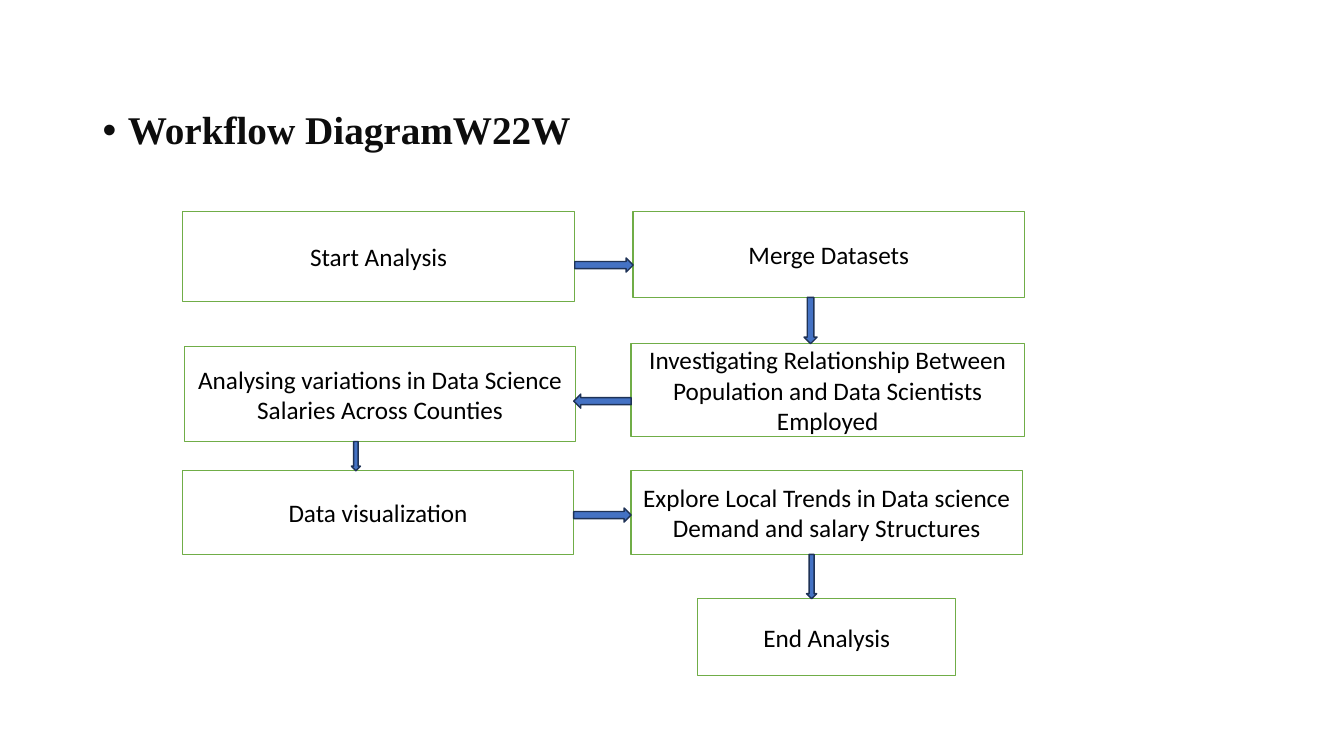
from lxml.etree import SubElement
from pptx import Presentation
from pptx.dml.color import RGBColor
from pptx.enum.shapes import MSO_SHAPE
from pptx.enum.text import MSO_ANCHOR, PP_ALIGN
from pptx.oxml.ns import qn
from pptx.util import Inches, Pt

LEFT, RIGHT = 1.81, 6.26  # column edges
ROWS = (2.1, 3.41, 4.67, 5.94)  # row tops
BOX_W = 3.88

# name: (text, left, top, width, height)
STEPS = {
    "start": ("Start Analysis", LEFT, ROWS[0], BOX_W + 0.01, 0.89),
    "variations": ("Analysing variations in Data Science Salaries Across Counties",
                   LEFT + 0.02, ROWS[1] + 0.03, BOX_W, 0.94),
    "trends": ("Explore Local Trends in Data science Demand and salary Structures",
               RIGHT, ROWS[2], BOX_W, 0.83),
    "merge": ("Merge Datasets", RIGHT + 0.02, ROWS[0], BOX_W, 0.85),
    "visualize": ("Data visualization", LEFT, ROWS[2], BOX_W, 0.83),
    "relationship": ("Investigating Relationship Between Population and Data Scientists Employed",
                     RIGHT, ROWS[1], BOX_W + 0.02, 0.92),
    "end": ("End Analysis", RIGHT + 0.66, ROWS[3], 2.56, 0.76),
}

# (from, to, centre across the arrow, thickness)
ARROWS = (
    ("visualize", "trends", 5.11, 0.14),
    ("start", "merge", 2.63, 0.14),
    ("merge", "relationship", 8.04, 0.13),
    ("relationship", "variations", 3.98, 0.14),
    ("variations", "visualize", 3.53, 0.09),
    ("trends", "end", 8.05, 0.1),
)


def color(value):
    return RGBColor.from_string(value)


def add_block(slide, kind, box, fill, line):
    sp = slide.shapes.add_shape(kind, *(Inches(v) for v in box))
    sp.shadow.inherit = False
    sp.fill.solid()
    sp.fill.fore_color.rgb = color(fill)
    sp.line.color.rgb = color(line)
    sp.line.width = Pt(1)
    return sp


def style_run(p, font, size, value, bold=False):
    f = p.runs[0].font
    f.name, f.size, f.bold = font, Pt(size), bold
    f.color.rgb = color(value)


def add_heading(slide, text, box):
    tf = slide.shapes.add_textbox(*(Inches(v) for v in box)).text_frame
    tf.word_wrap = True
    p = tf.paragraphs[0]
    p.text = text
    p.line_spacing = 0.9
    p.space_before = Pt(10)
    style_run(p, "Times New Roman", 28, "0D0D0D", bold=True)
    # Hanging bullet
    pPr = p._p.get_or_add_pPr()
    pPr.set("marL", str(Inches(0.25)))
    pPr.set("indent", str(-Inches(0.25)))
    SubElement(pPr, qn("a:buFont")).set("typeface", "Arial")
    SubElement(pPr, qn("a:buChar")).set("char", "•")


def add_step(slide, text, *box):
    sp = add_block(slide, MSO_SHAPE.RECTANGLE, box, "FFFFFF", "70AD47")
    tf = sp.text_frame
    tf.word_wrap = True
    tf.vertical_anchor = MSO_ANCHOR.MIDDLE
    p = tf.paragraphs[0]
    p.text = text
    p.alignment = PP_ALIGN.CENTER
    style_run(p, "Calibri", 18, "000000")


def add_arrow(slide, source, target, centre, thick):
    """Fill the gap between two steps with a block arrow."""
    _, x1, y1, w1, h1 = STEPS[source]
    _, x2, y2, w2, _ = STEPS[target]
    edge = centre - thick / 2
    if y2 >= y1 + h1:
        kind, box = MSO_SHAPE.DOWN_ARROW, (edge, y1 + h1, thick, y2 - y1 - h1)
    elif x2 > x1:
        kind, box = MSO_SHAPE.RIGHT_ARROW, (x1 + w1, edge, x2 - x1 - w1, thick)
    else:
        kind, box = MSO_SHAPE.LEFT_ARROW, (x2 + w2 - 0.02, edge, x1 - x2 - w2 + 0.02, thick)
    add_block(slide, kind, box, "4472C4", "1E3256")


def add_workflow(slide):
    for step in STEPS.values():
        add_step(slide, *step)
    for arrow in ARROWS:
        add_arrow(slide, *arrow)


def main():
    prs = Presentation()
    prs.slide_width, prs.slide_height = Inches(13.33), Inches(7.5)
    s = prs.slides.add_slide(prs.slide_layouts[6])
    add_heading(s, "Workflow DiagramW22W", (0.92, 1.05, 11.5, 4.76))
    add_workflow(s)
    prs.save("out.pptx")


if __name__ == "__main__":
    main()
